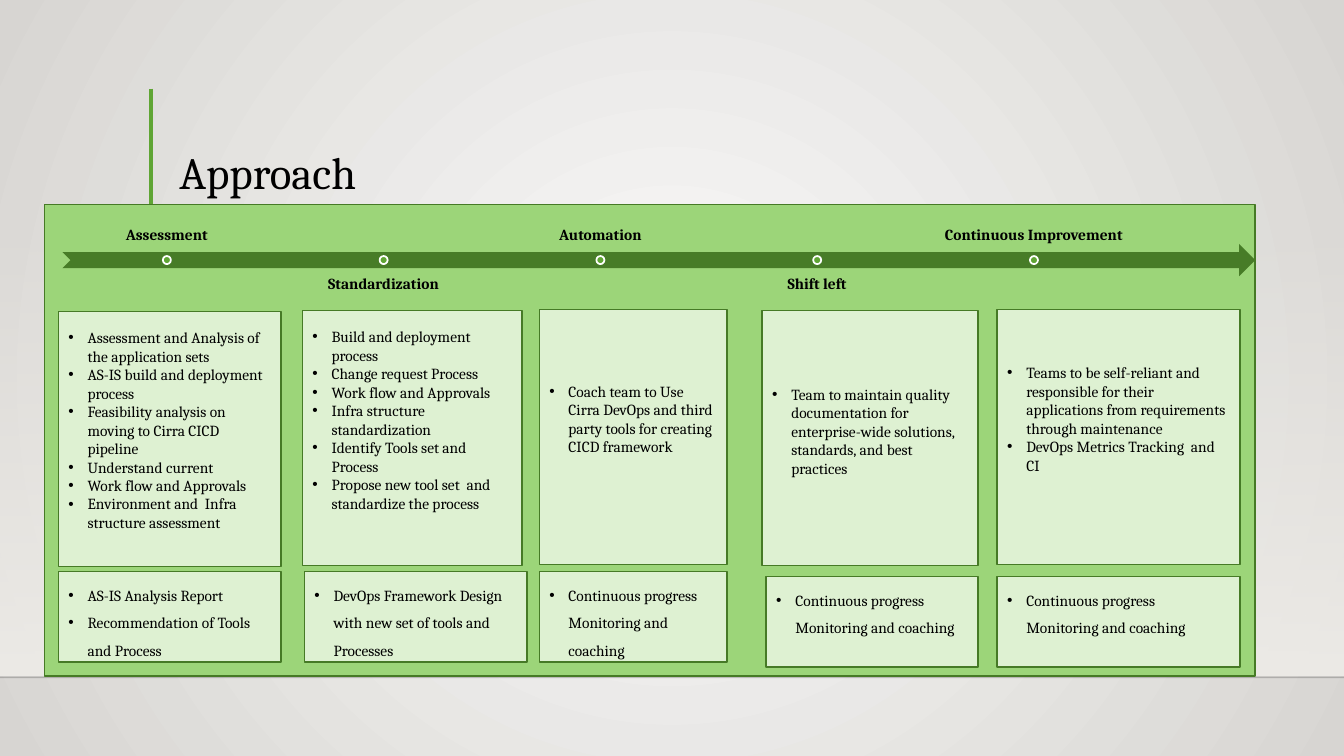
import pptx
import pptx.util
import pptx.dml.color
import pptx.enum.shapes
import pptx.enum.text
import pptx.oxml.ns
import lxml.etree

Inches = pptx.util.Inches
Pt = pptx.util.Pt
qn = pptx.oxml.ns.qn
SHAPES = pptx.enum.shapes.MSO_SHAPE
ANCHOR = pptx.enum.text.MSO_ANCHOR
ALIGN = pptx.enum.text.PP_ALIGN

FONT = "Cambria"
DARK_GREEN = "467A26"
LINE_HEIGHT = 0.18

# heading, activity box, activities, blank depth below them, outcome box, outcomes
PHASES = [
    ("Assessment", (0.58, 3.09, 2.21, 2.53),
     ["Assessment and Analysis of the application sets",
      "AS-IS build and deployment process",
      "Feasibility analysis on moving to Cirra CICD pipeline",
      "Understand current",
      "Work flow and Approvals",
      "Environment and  Infra structure assessment"],
     LINE_HEIGHT, (0.58, 5.67, 2.21, 0.9),
     ["AS-IS Analysis Report", "Recommendation of Tools and Process"]),
    ("Standardization", (3, 3.08, 2.18, 2.53),
     ["Build and deployment process",
      "Change request Process",
      "Work flow and Approvals",
      "Infra structure standardization",
      "Identify Tools set and Process",
      "Propose new tool set  and standardize the process"],
     2 * LINE_HEIGHT, (3.02, 5.67, 2.21, 0.9),
     ["DevOps Framework Design with new set of tools and Processes"]),
    ("Automation", (5.35, 3.07, 1.86, 2.53),
     ["Coach team to Use Cirra DevOps and third party tools for creating CICD framework"],
     2 * LINE_HEIGHT, (5.35, 5.67, 1.86, 0.9),
     ["Continuous progress Monitoring and coaching"]),
    ("Shift left", (7.56, 3.08, 2.14, 2.53),
     ["Team to maintain quality documentation for enterprise-wide solutions, "
      "standards, and best practices"],
     0.13, (7.6, 5.72, 2.1, 0.9),
     ["Continuous progress Monitoring and coaching"]),
    ("Continuous Improvement", (9.89, 3.07, 2.41, 2.53),
     ["Teams to be self-reliant and responsible for their applications "
      "from requirements through maintenance",
      "DevOps Metrics Tracking  and CI"],
     2 * LINE_HEIGHT, (9.89, 5.72, 2.41, 0.9),
     ["Continuous progress Monitoring and coaching"]),
]


def color(value):
    return pptx.dml.color.RGBColor.from_string(value)


def set_alpha(element, percent):
    """Set the opacity of the first colour inside the element."""
    rgb = next(element.iter(qn("a:srgbClr")))
    lxml.etree.SubElement(rgb, qn("a:alpha")).set("val", str(percent * 1000))


def set_gradient(fill, first, last):
    fill.gradient()
    for stop, value, position in zip(fill.gradient_stops, (first, last), (0, 1)):
        stop.color.rgb = color(value)
        stop.position = position


def add_box(slide, kind, box, fill, line=None, width=1.25):
    shape = slide.shapes.add_shape(kind, *map(Inches, box))
    shape.shadow.inherit = False
    shape.fill.solid()
    shape.fill.fore_color.rgb = color(fill)
    if line:
        shape.line.color.rgb = color(line)
        shape.line.width = Pt(width)
    else:
        shape.line.fill.background()
    return shape


def add_line(slide, start, end, value, width):
    line = slide.shapes.add_connector(
        pptx.enum.shapes.MSO_CONNECTOR.STRAIGHT, *map(Inches, start + end))
    line.line.color.rgb = color(value)
    line.line.width = Pt(width)
    properties = line.element.find(qn("p:spPr"))
    lxml.etree.SubElement(properties, qn("a:effectLst"))
    return properties


def add_run(paragraph, text, size, bold=False):
    run = paragraph.add_run()
    run.text = text
    run.font.name = FONT
    run.font.size = Pt(size)
    run.font.bold = bold
    run.font.color.rgb = color("000000")


def add_text(slide, box, text, size, anchor, align=ALIGN.LEFT, bold=False, inset=None):
    frame = slide.shapes.add_textbox(*map(Inches, box)).text_frame
    frame.word_wrap = True
    frame.vertical_anchor = anchor
    if inset is not None:
        frame.margin_left = frame.margin_right = Inches(inset)
        frame.margin_top = frame.margin_bottom = Inches(inset)
    paragraph = frame.paragraphs[0]
    paragraph.alignment = align
    paragraph.line_spacing = 0.9
    add_run(paragraph, text, size, bold)


def add_bullet_box(slide, box, items, anchor, spacing=1.0, blank_depth=0):
    shape = add_box(slide, SHAPES.RECTANGLE, box, "DEF1D2", DARK_GREEN)
    frame = shape.text_frame
    frame.word_wrap = True
    frame.vertical_anchor = anchor
    frame.margin_bottom = Inches(0.05 + blank_depth)
    for index, item in enumerate(items):
        paragraph = frame.add_paragraph() if index else frame.paragraphs[0]
        paragraph.alignment = ALIGN.LEFT
        paragraph.line_spacing = spacing
        properties = paragraph._p.get_or_add_pPr()
        properties.set("marL", str(Inches(0.19)))
        properties.set("indent", str(-Inches(0.19)))
        lxml.etree.SubElement(properties, qn("a:buFont")).set("typeface", "Arial")
        lxml.etree.SubElement(properties, qn("a:buChar")).set("char", "•")
        add_run(paragraph, item, 11)


def add_backdrop(slide, width, floor):
    set_gradient(slide.background.fill, "FAFAF9", "D7D5D2")
    gradient = next(slide.element.iter(qn("a:gradFill")))
    gradient.remove(gradient.find(qn("a:lin")))
    circle = lxml.etree.SubElement(gradient, qn("a:path"))
    circle.set("path", "circle")
    center = lxml.etree.SubElement(circle, qn("a:fillToRect"))
    for side in "ltrb":
        center.set(side, "50000")

    wall = add_box(slide, SHAPES.RECTANGLE, (0, 2.2, width, 4.5), "EDEBE7")
    set_gradient(wall.fill, "EDEBE7", "EDEBE7")
    wall.fill.gradient_angle = 270
    set_alpha(wall.element, 0)
    set_alpha(add_line(slide, (0, floor), (width, floor), "000001", 1), 20)


def add_title(slide, box, text):
    left, top, width, height = box
    add_line(slide, (left - 0.18, top), (left - 0.18, top + height), "5FA534", 3)
    add_text(slide, box, text, 32, ANCHOR.BOTTOM)


def add_timeline(slide, box, headings):
    """Arrow with evenly spaced dots and headings alternately above and below."""
    left, top, width, height = box
    add_box(slide, SHAPES.NOTCHED_RIGHT_ARROW, box, "477C27")
    step, label_width, dot = 2.15, 2.05, 0.08
    for index, heading in enumerate(headings):
        label_left = left + 0.01 + index * step
        below = index % 2
        label_top = top + (0.24 if below else -0.24)
        add_text(slide, (label_left, label_top, label_width, height), heading, 11,
                 ANCHOR.TOP if below else ANCHOR.BOTTOM, ALIGN.CENTER, True, 0.09)
        add_box(slide, SHAPES.OVAL,
                (label_left + (label_width - dot) / 2, top + (height - dot) / 2, dot, dot),
                "5FA534", "FFFFFF")


def add_phases(slide):
    for _, activity_box, activities, blank_depth, outcome_box, outcomes in PHASES:
        add_bullet_box(slide, activity_box, activities, ANCHOR.MIDDLE,
                       blank_depth=blank_depth)
        add_bullet_box(slide, outcome_box, outcomes, ANCHOR.TOP, spacing=1.5)


def main():
    presentation = pptx.Presentation()
    presentation.slide_width = Inches(13.33)
    presentation.slide_height = Inches(7.5)
    slide = presentation.slides.add_slide(presentation.slide_layouts[6])
    add_backdrop(slide, 13.33, 6.72)
    add_title(slide, (1.68, 0.88, 10.41, 1.15), "Approach")
    add_box(slide, SHAPES.RECTANGLE, (0.44, 2.03, 12.01, 4.68), "9CD579", DARK_GREEN)
    add_timeline(slide, (0.62, 2.42, 11.83, 0.32), [phase[0] for phase in PHASES])
    add_phases(slide)
    presentation.save("out.pptx")


if __name__ == "__main__":
    main()
